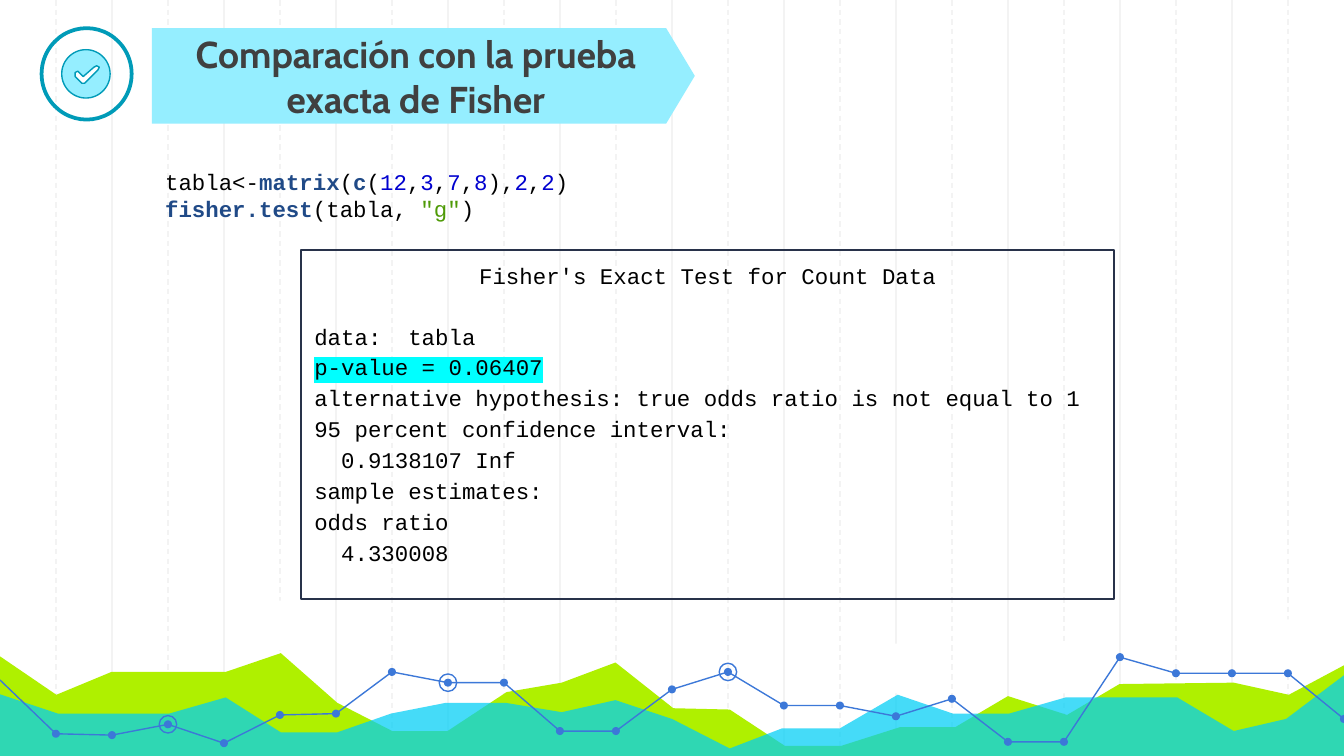
from dataclasses import dataclass
from math import cos, pi, sin
from typing import Optional

from lxml import etree
from pptx import Presentation
from pptx.dml.color import RGBColor
from pptx.enum.dml import MSO_LINE
from pptx.enum.shapes import MSO_CONNECTOR, MSO_SHAPE
from pptx.enum.text import MSO_ANCHOR, MSO_AUTO_SIZE, PP_ALIGN
from pptx.oxml.ns import qn
from pptx.util import Inches, Pt

STRAIGHT = MSO_CONNECTOR.STRAIGHT
RECTANGLE, OVAL, ARROW_TAG = MSO_SHAPE.RECTANGLE, MSO_SHAPE.OVAL, MSO_SHAPE.PENTAGON
DASH = MSO_LINE.DASH
MIDDLE, TOP = MSO_ANCHOR.MIDDLE, MSO_ANCHOR.TOP
CENTER, LEFT = PP_ALIGN.CENTER, PP_ALIGN.LEFT

Points = list[tuple[float, float]]


@dataclass(frozen=True)
class Theme:
    white: str = "FFFFFF"
    grid: str = "F3F3F3"
    green: str = "AFF000"
    cyan: str = "00CEF6"
    trend: str = "3C78D8"
    banner: str = "95EEFF"
    badge: str = "009BB8"
    title: str = "404040"
    frame: str = "28324A"
    plain: str = "000000"
    function: str = "204A87"
    number: str = "0000CF"
    string: str = "4E9A06"
    highlight: str = "00FFFF"
    heading_font: str = "Cabin"
    code_font: str = "Courier New"
    title_size: int = 20
    code_size: int = 12
    thin: float = 0.75


@dataclass(frozen=True)
class Box:
    left: float
    top: float
    width: float
    height: float

    def emu(self) -> tuple:
        return tuple(Inches(v) for v in (self.left, self.top, self.width, self.height))


@dataclass(frozen=True)
class OutputLine:
    text: str
    heading: bool = False
    indented: bool = False
    highlighted: bool = False


THEME = Theme()
SLIDE_WIDTH = 10
SLIDE_HEIGHT = SLIDE_WIDTH * 9 / 16
COLUMNS = 24
COLUMN = SLIDE_WIDTH / COLUMNS
DOT, RING = 0.06, 0.13

GREEN_AREA = [
    (-0.02, 4.87), (0.42, 5.17), (0.83, 5), (1.68, 5), (2.09, 4.86), (2.51, 5.23),
    (2.92, 5.44), (3.33, 5.44), (3.77, 5.15), (4.18, 5.08), (4.58, 4.93), (5.01, 5.27),
    (5.43, 5.28), (5.84, 5.55), (6.26, 5.55), (6.7, 5.41), (7.11, 5.41), (7.5, 5.18),
    (7.94, 5.32), (8.33, 5.09), (9.18, 5.08), (9.59, 5.17), (10.02, 4.94),
    (10.02, 5.64), (-0.02, 5.64)]
CYAN_AREA = [
    (-0.02, 5.16), (0.43, 5.31), (1.26, 5.31), (1.68, 5.19), (2.09, 5.45), (2.51, 5.45),
    (2.91, 5.31), (3.32, 5.23), (3.76, 5.23), (4.18, 5.3), (4.58, 5.21), (5, 5.35),
    (5.43, 5.57), (5.82, 5.42), (6.25, 5.42), (6.68, 5.17), (7.09, 5.31), (7.51, 5.31),
    (7.93, 5.19), (8.76, 5.19), (9.18, 5.44), (9.57, 5.35), (10.02, 5.01),
    (10.02, 5.65), (-0.02, 5.65)]
TREND_HEIGHTS = [
    5.06, 5.46, 5.47, 5.39, 5.53, 5.32, 5.31, 5, 5.08, 5.08, 5.44, 5.44, 5.13,
    5, 5.25, 5.25, 5.33, 5.2, 5.52, 5.52, 4.89, 5.01, 5.01, 5.01, 5.35]
RINGED_COLUMNS = (3, 8, 13)
GRID_GAPS = [(1.93, 4.47), (6.54, 4.79), (7.8, 4.79), (9.44, 4.61)]
CHECK_MARK = [
    (0.72, 0.49), (0.74, 0.5), (0.73, 0.52), (0.63, 0.62), (0.61, 0.62), (0.56, 0.57),
    (0.56, 0.54), (0.58, 0.53), (0.62, 0.57), (0.7, 0.5)]

CODE = [
    [("tabla<-", THEME.plain), ("matrix", THEME.function), ("(", THEME.plain),
     ("c", THEME.function), ("(", THEME.plain), ("12", THEME.number), (",", THEME.plain),
     ("3", THEME.number), (",", THEME.plain), ("7", THEME.number), (",", THEME.plain),
     ("8", THEME.number), ("),", THEME.plain), ("2", THEME.number), (",", THEME.plain),
     ("2", THEME.number), (")", THEME.plain)],
    [("fisher.test", THEME.function), ("(tabla, ", THEME.plain),
     ('"g"', THEME.string), (")", THEME.plain)]]
OUTPUT = [
    OutputLine("Fisher's Exact Test for Count Data", heading=True),
    OutputLine("data:  tabla"),
    OutputLine("p-value = 0.06407", highlighted=True),
    OutputLine("alternative hypothesis: true odds ratio is not equal to 1"),
    OutputLine("95 percent confidence interval:"),
    OutputLine("0.9138107 Inf", indented=True),
    OutputLine("sample estimates:"),
    OutputLine("odds ratio"),
    OutputLine("4.330008", indented=True)]


def paint(shape, fill: Optional[str] = None, line: Optional[str] = None,
          width: float = THEME.thin) -> None:
    shape.shadow.inherit = False
    if fill:
        shape.fill.solid()
        shape.fill.fore_color.rgb = RGBColor.from_string(fill)
    else:
        shape.fill.background()
    if line:
        shape.line.color.rgb = RGBColor.from_string(line)
        shape.line.width = Pt(width)
    else:
        shape.line.fill.background()


def add_preset(slide, kind, box: Box, **look):
    shape = slide.shapes.add_shape(kind, *box.emu())
    paint(shape, **look)
    return shape


def add_circle(slide, x: float, y: float, size: float, **look) -> None:
    add_preset(slide, OVAL, Box(x - size / 2, y - size / 2, size, size), **look)


def add_outline(slide, *contours: Points, close: bool = True, **look):
    """Draw one freeform; a contour inside another cuts a hole."""
    scaled = [[(Inches(x), Inches(y)) for x, y in contour] for contour in contours]
    builder = slide.shapes.build_freeform(*scaled[0][0])
    for index, contour in enumerate(scaled):
        if index:
            builder.move_to(*contour[0])
        builder.add_line_segments(contour[1:], close=close)
    shape = builder.convert_to_shape()
    paint(shape, **look)
    return shape


def add_run(paragraph, text: str, color: str, font: str = THEME.code_font,
            size: int = THEME.code_size, bold: bool = False):
    run = paragraph.add_run()
    run.text = text
    run.font.name, run.font.size, run.font.bold = font, Pt(size), bold
    run.font.color.rgb = RGBColor.from_string(color)
    return run


def add_grid(slide) -> None:
    for column in range(1, COLUMNS):
        x = Inches(column * COLUMN)
        rule = slide.shapes.add_connector(STRAIGHT, x, 0, x, Inches(SLIDE_HEIGHT))
        rule.line.color.rgb = RGBColor.from_string(THEME.grid)
        rule.line.width = Pt(THEME.thin)
        if column % 2:
            rule.line.dash_style = DASH
        etree.SubElement(rule._element.spPr, qn("a:effectLst"))


def add_landscape(slide) -> None:
    add_outline(slide, GREEN_AREA, fill=THEME.green)
    cyan_area = add_outline(slide, CYAN_AREA, fill=THEME.cyan)
    color = cyan_area._element.spPr.find(qn("a:solidFill"))[0]
    etree.SubElement(color, qn("a:alpha"), val="73000")

    trend = [(column * COLUMN, y) for column, y in enumerate(TREND_HEIGHTS)]
    add_outline(slide, trend, close=False, line=THEME.trend)
    for x, y in trend[1:]:
        add_circle(slide, x, y, DOT, fill=THEME.trend)
    for column in RINGED_COLUMNS:
        add_circle(slide, *trend[column], RING, line=THEME.trend)
    for left, top in GRID_GAPS:
        add_preset(slide, RECTANGLE, Box(left, top, 0.28, 0.37), fill=THEME.white)


def add_title(slide) -> None:
    banner = add_preset(slide, ARROW_TAG, Box(1.13, 0.21, 4.04, 0.71), fill=THEME.banner)
    banner.adjustments[0] = 0.3
    title = slide.shapes.title
    title.left, title.top, title.width, title.height = Box(1.13, 0.21, 3.93, 0.71).emu()
    slide.shapes._spTree.append(title._element)  # bring in front of the banner
    frame = title.text_frame
    frame.auto_size, frame.word_wrap = MSO_AUTO_SIZE.NONE, True
    frame.vertical_anchor = MIDDLE
    frame.paragraphs[0].alignment = CENTER
    add_run(frame.paragraphs[0], "Comparación con la prueba exacta de Fisher",
            THEME.title, THEME.heading_font, THEME.title_size, bold=True)


def add_badge(slide) -> None:
    add_preset(slide, OVAL, Box(0.31, 0.21, 0.67, 0.68), line=THEME.badge, width=2)
    angles = [2 * pi * step / 60 for step in range(60)]
    disc = [(0.64 + 0.18 * cos(a), 0.55 + 0.18 * sin(a)) for a in angles]
    add_outline(slide, disc, CHECK_MARK, fill=THEME.banner, line=THEME.badge)


def add_code(slide) -> None:
    frame = slide.shapes.add_textbox(*Box(1.13, 1.2, 5.05, 0.5).emu()).text_frame
    frame.word_wrap = True
    paragraph = frame.paragraphs[0]
    for index, tokens in enumerate(CODE):
        if index:
            paragraph.add_line_break()
        for text, color in tokens:
            add_run(paragraph, text, color, bold=color == THEME.function)


def add_output(slide) -> None:
    panel = add_preset(slide, RECTANGLE, Box(2.24, 1.86, 6.05, 2.6), line=THEME.frame, width=1)
    frame = panel.text_frame
    frame.word_wrap, frame.vertical_anchor = True, TOP
    frame.margin_top = Inches(0.06)
    for index, line in enumerate(OUTPUT):
        paragraph = frame.add_paragraph() if index else frame.paragraphs[0]
        paragraph.alignment = CENTER if line.heading else LEFT
        paragraph.line_spacing = 1.15
        if line.heading:
            paragraph.space_after = Pt(16)
        if line.indented:
            paragraph._p.get_or_add_pPr().set("marL", str(Inches(0.2)))
        run = add_run(paragraph, line.text, THEME.plain)
        if line.highlighted:
            marker = etree.Element(qn("a:highlight"))
            etree.SubElement(marker, qn("a:srgbClr"), val=THEME.highlight)
            run._r.rPr.find(qn("a:solidFill")).addnext(marker)


def main() -> None:
    deck = Presentation()
    deck.slide_width, deck.slide_height = Inches(SLIDE_WIDTH), Inches(SLIDE_HEIGHT)
    slide = deck.slides.add_slide(deck.slide_layouts.get_by_name("Title Only"))
    for draw in (add_grid, add_landscape, add_title, add_badge, add_code, add_output):
        draw(slide)
    deck.save("out.pptx")


if __name__ == "__main__":
    main()
